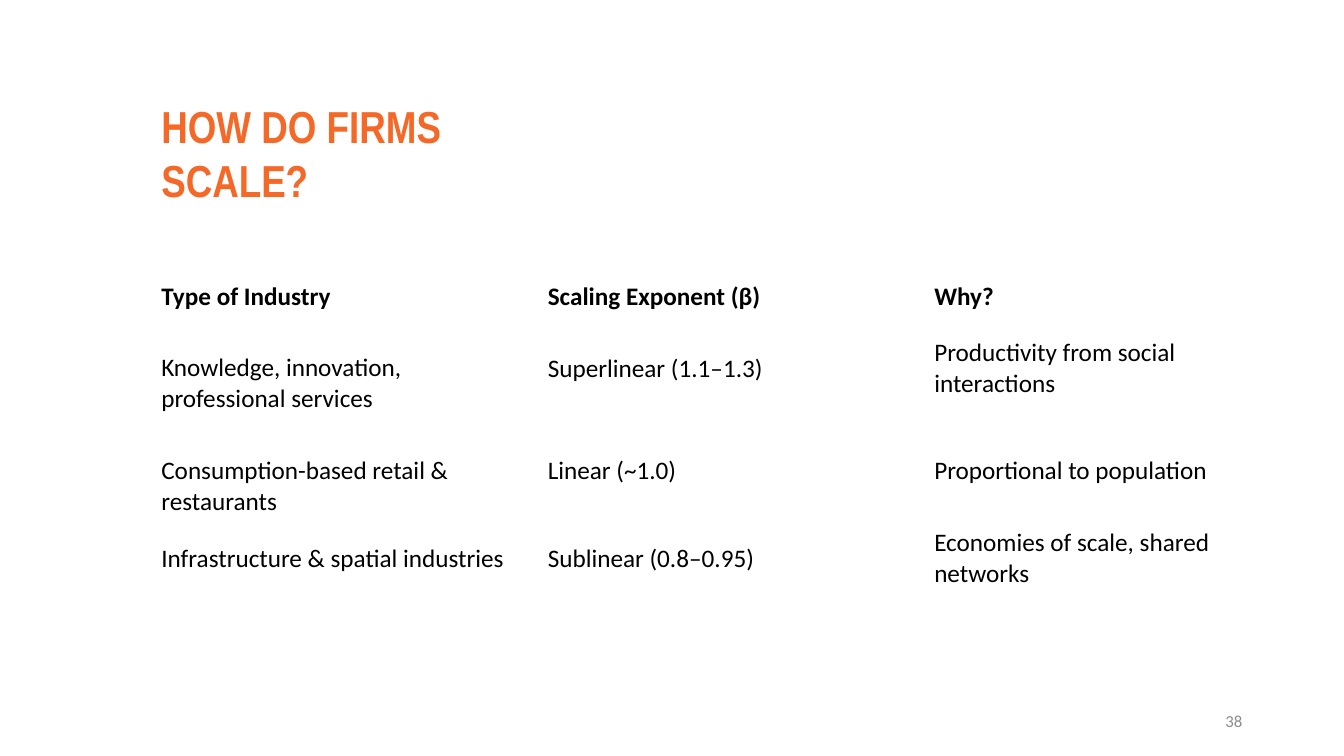
"""Build a slide with a table of how firms scale by type of industry."""
import pptx
import pptx.util
import pptx.dml.color
import pptx.enum.text

Inches, Pt = pptx.util.Inches, pptx.util.Pt
Color = pptx.dml.color.RGBColor
Align, Anchor = pptx.enum.text.PP_ALIGN, pptx.enum.text.MSO_ANCHOR

ORANGE = Color(0xF5, 0x69, 0x28)
BLACK = Color(0x00, 0x00, 0x00)
GRAY = Color(0x8C, 0x8C, 0x8C)

LEFT = 1.5
COL = 11.5 / 3
HEIGHTS = [0.4, 1.02, 1.02, 0.71]
ROWS = [
    ["Type of Industry", "Scaling Exponent (β)", "Why?"],
    ["Knowledge, innovation, professional services",
     "Superlinear (1.1–1.3)", "Productivity from social interactions"],
    ["Consumption-based retail & restaurants",
     "Linear (~1.0)", "Proportional to population"],
    ["Infrastructure & spatial industries",
     "Sublinear (0.8–0.95)", "Economies of scale, shared networks"],
]
LOWERED = [(1, 0), (2, 0)]


def write(frame, text, font, size, color, bold=False):
    frame.text = text
    face = frame.paragraphs[0].runs[0].font
    face.name, face.size, face.bold = font, Pt(size), bold
    face.color.rgb = color


deck = pptx.Presentation()
deck.slide_width, deck.slide_height = Inches(13.33), Inches(7.5)
slide = deck.slides.add_slide(deck.slide_layouts[5])

title = slide.shapes.title
title.left, title.top = Inches(LEFT), Inches(0.93)
title.width, title.height = Inches(4.42), Inches(1.17)
frame = title.text_frame
write(frame, "HOW DO FIRMS SCALE?", "Arial Narrow", 32, ORANGE, True)
frame.word_wrap = True
frame.auto_size = pptx.enum.text.MSO_AUTO_SIZE.NONE
frame.vertical_anchor = Anchor.MIDDLE
frame.margin_right = Inches(0.4)
frame.paragraphs[0].alignment = Align.LEFT

table = slide.shapes.add_table(
    len(ROWS), 3, Inches(LEFT), Inches(2.74),
    Inches(3 * COL), Inches(sum(HEIGHTS))).table
table.first_row = table.horz_banding = False
for col in table.columns:
    col.width = Inches(COL)
for r, row in enumerate(ROWS):
    table.rows[r].height = Inches(HEIGHTS[r])
    for c, text in enumerate(row):
        cell = table.cell(r, c)
        cell.fill.background()
        cell.vertical_anchor = Anchor.MIDDLE
        write(cell.text_frame, text, "Calibri", 18, BLACK, r == 0)
        if (r, c) in LOWERED:
            cell.margin_top = Inches(0.35)

number = slide.shapes.add_textbox(
    Inches(9.42), Inches(6.95), Inches(3), Inches(0.4)).text_frame
number.word_wrap = True
number.vertical_anchor = Anchor.MIDDLE
write(number, "38", "Calibri", 12, GRAY)
number.paragraphs[0].alignment = Align.RIGHT

deck.save("out.pptx")
